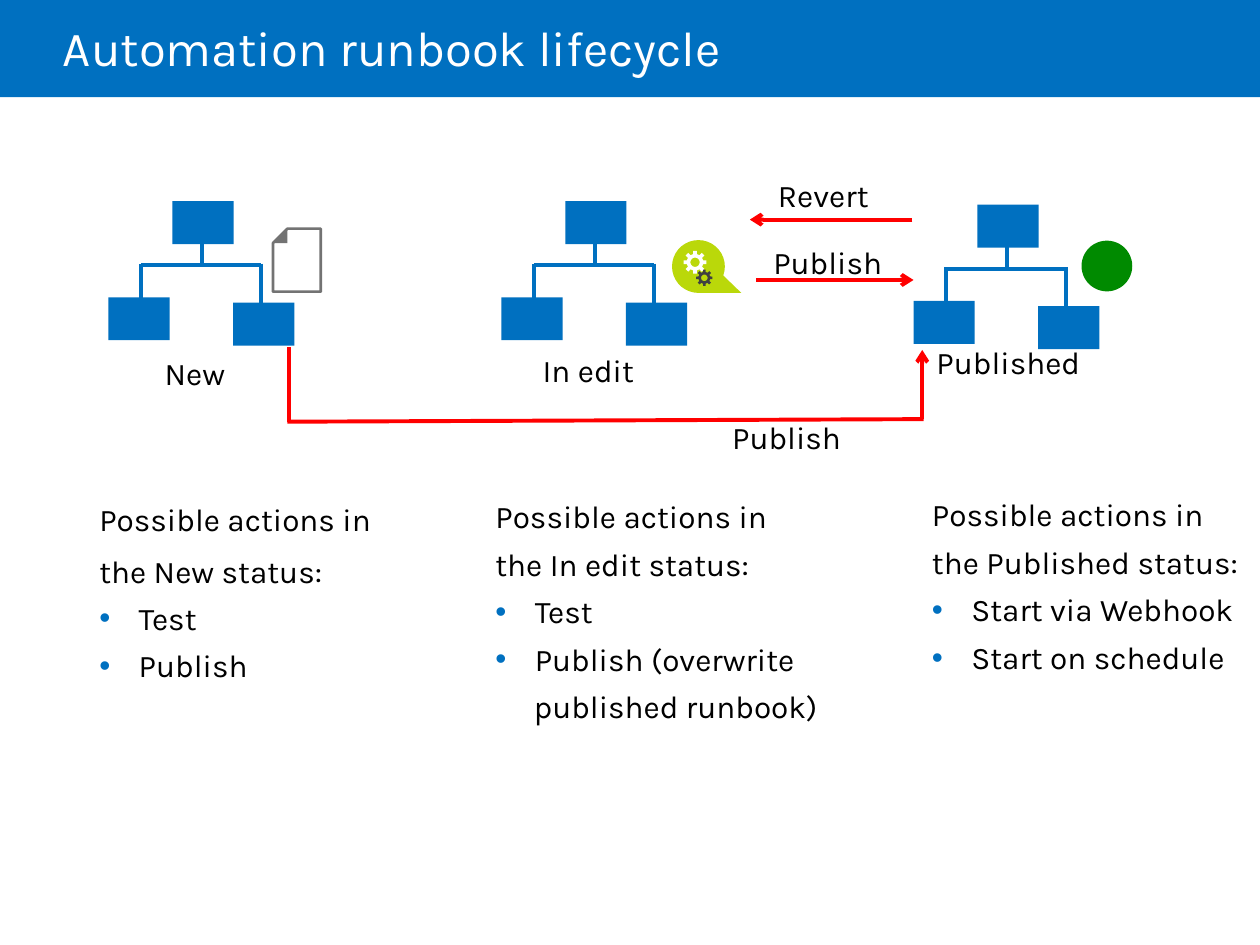
import math

from lxml import etree
from pptx import Presentation
from pptx.dml.color import RGBColor
from pptx.enum import shapes, text
from pptx.oxml import ns
from pptx.util import Pt

COLORS = {
    "blue": "0070C0", "red": "FF0000", "green": "008A00", "lime": "BAD80A",
    "gray": "737373", "dark": "404041", "white": "FFFFFF", "black": "000000",
}
FONT = "Karla"
TREE_WIDTH = 106.5
STATES = [
    {"name": "New", "tree": (62, 115), "label": (87, 198), "actions": (49.7, 266.5),
     "intro": ["Possible actions in", "the New status:"], "intro_spacing": 1.0,
     "items": ["Test", "Publish"]},
    {"name": "In edit", "tree": (286.5, 115), "label": (303, 196.5), "actions": (276, 278.5),
     "intro": ["Possible actions in", "the In edit status:"], "intro_spacing": 0.9,
     "items": ["Test", "Publish (overwrite\vpublished runbook)"]},
    {"name": "Published", "tree": (522, 117), "label": (528, 192), "actions": (525.5, 264),
     "intro": ["Possible actions in", "the Published status:"], "intro_spacing": 0.9,
     "items": ["Start via Webhook", "Start on schedule"]},
]


def rgb(name):
    """Return the named colour."""
    return RGBColor.from_string(COLORS[name])


def paint(shape, fill, line=None, width=1.5):
    """Give a shape a flat fill and an optional outline."""
    shape.shadow.inherit = False
    shape.fill.solid()
    shape.fill.fore_color.rgb = rgb(fill)
    if line:
        shape.line.color.rgb = rgb(line)
        shape.line.width = Pt(width)
    else:
        shape.line.fill.background()


def add_block(page, kind, left, top, width, height, fill):
    """Add a filled preset shape."""
    shape = page.shapes.add_shape(kind, Pt(left), Pt(top), Pt(width), Pt(height))
    paint(shape, fill)


def add_outline(page, contours, fill, line=None):
    """Add a closed freeform made of one or more contours."""
    builder = None
    for contour in contours:
        points = [(Pt(x), Pt(y)) for x, y in contour]
        if builder is None:
            builder = page.shapes.build_freeform(*points[0])
        else:
            builder.move_to(*points[0])
        builder.add_line_segments(points[1:], close=True)
    paint(builder.convert_to_shape(), fill, line)


def add_line(page, start, end, color, arrow=False):
    """Add a straight line, with an arrowhead at its end if asked."""
    line = page.shapes.add_connector(
        shapes.MSO_CONNECTOR.STRAIGHT, *[Pt(value) for value in (*start, *end)])
    line.line.color.rgb = rgb(color)
    line.line.width = Pt(2.25)
    if arrow:
        etree.SubElement(line.line._get_or_add_ln(), ns.qn("a:tailEnd"), type="arrow")
    etree.SubElement(line._element.spPr, ns.qn("a:effectLst"))


def add_bullet(para, indent=22.5):
    """Give a paragraph a blue bullet with a hanging indent."""
    props = para._p.get_or_add_pPr()
    props.set("marL", str(Pt(indent)))
    props.set("indent", str(-Pt(indent)))
    color = etree.SubElement(props, ns.qn("a:buClr"))
    etree.SubElement(color, ns.qn("a:srgbClr"), val=COLORS["blue"])
    etree.SubElement(props, ns.qn("a:buFont"), typeface="Arial")
    etree.SubElement(props, ns.qn("a:buChar"), char="•")


def add_text(page, lines, left, top, width, height, *, size=18, color="black",
             spacing=0.9, inset=7.2, centered=False, intro=None, intro_spacing=0.9):
    """Add a text box whose lines after the intro count are bulleted."""
    box = page.shapes.add_textbox(Pt(left), Pt(top), Pt(width), Pt(height))
    frame = box.text_frame
    frame.word_wrap = True
    frame.vertical_anchor = text.MSO_ANCHOR.MIDDLE
    frame.margin_left, frame.margin_right = Pt(inset), Pt(0)
    for index, line in enumerate(lines):
        para = frame.paragraphs[0] if index == 0 else frame.add_paragraph()
        is_item = intro is not None and index >= intro
        para.line_spacing = spacing if is_item or intro is None else intro_spacing
        para.alignment = text.PP_ALIGN.CENTER if centered else text.PP_ALIGN.LEFT
        if index:
            para.space_before = Pt(7.7)
        if is_item:
            add_bullet(para)
        for part_index, part in enumerate(line.split("\v")):
            if part_index:
                para = frame.add_paragraph()
                para.line_spacing, para.space_before = spacing, Pt(7.7)
                para._p.get_or_add_pPr().set("marL", str(Pt(22)))
            span = para.add_run()
            span.text = part
            span.font.name, span.font.size = FONT, Pt(size)
            span.font.color.rgb = rgb(color)


def add_header(page, left, top, width, height):
    """Draw the title bar."""
    add_block(page, shapes.MSO_SHAPE.RECTANGLE, left, top, width, height, "blue")
    add_text(page, ["Automation runbook lifecycle"], left + 36, top, width - 108,
             height + 3, size=28, color="white", spacing=0.85, inset=0)


def add_tree(page, left, top):
    """Draw a root box joined to two child boxes."""
    first, middle, last, bar = left + 18.7, left + 53.3, left + 87, top + 36.7
    for start, end in [((last, bar - 1), (last, top + 60)),
                       ((first, bar - 1), (first, top + 60)),
                       ((middle, top + 13), (middle, bar + 1)),
                       ((last, bar), (first, bar))]:
        add_line(page, start, end, "blue")
    for x, y in [(36.5, 0), (0, 55), (71.2, 58)]:
        add_block(page, shapes.MSO_SHAPE.RECTANGLE, left + x, top + y, 35, 24.5, "blue")


def add_page_icon(page, left, top, width=27.3, height=36, fold=8.2):
    """Draw a sheet with a folded corner."""
    right, bottom = left + width, top + height
    corner = [(left, top + fold), (left + fold, top)]
    add_outline(page, [[(right, bottom), (left, bottom), *corner, (right, top)]],
                "white", "gray")
    add_outline(page, [[(left + fold, top + fold), *corner]], "gray")


def ring(x, y, radius, start=0, end=360, step=10):
    """Return points along an arc."""
    return [(x + radius * math.cos(math.radians(a)), y + radius * math.sin(math.radians(a)))
            for a in range(start, end, step)]


def add_gear(page, x, y, radius, fill, teeth=8):
    """Draw a toothed wheel with a hole."""
    pitch = 360 / teeth
    rim = []
    for tooth in range(teeth):
        for part, reach in [(-0.3, 0.72), (-0.2, 1), (0.2, 1), (0.3, 0.72)]:
            angle = math.radians((tooth + part) * pitch)
            rim.append((x + radius * reach * math.cos(angle),
                        y + radius * reach * math.sin(angle)))
    add_outline(page, [rim, ring(x, y, radius * 0.4)[::-1]], fill)


def add_edit_icon(page, left, top, radius=15.1):
    """Draw a speech bubble holding two gears."""
    x, y = left + radius, top + radius
    bubble = ring(x, y, radius, 90, 390) + [(left + 39.6, top + 2 * radius)]
    add_outline(page, [bubble], "lime")
    add_gear(page, left + 13.2, top + 12.7, 6.6, "white")
    add_gear(page, left + 18.5, top + 21.6, 4.7, "dark")


def add_state(page, state):
    """Draw one state with its tree, name and list of actions."""
    add_tree(page, *state["tree"])
    add_text(page, [state["name"]], *state["label"], 135, 32.4)
    add_text(page, state["intro"] + state["items"], *state["actions"], 194, 144,
             intro=len(state["intro"]), intro_spacing=state["intro_spacing"])


def add_transitions(page):
    """Draw the red arrows between states and their labels."""
    for start, end, arrow in [((432, 160), (522, 160), True),
                              ((521.3, 125.5), (428.5, 125.5), True),
                              ((165.2, 198.5), (165.2, 241), False),
                              ((164.2, 241), (527.8, 239.5), False),
                              ((527, 239.5), (527, 200), True)]:
        add_line(page, start, end, "red", arrow)
    for label, center, middle in [("Revert", 470.5, 111.5), ("Publish", 473, 149.5),
                                  ("Publish", 449.5, 249.5)]:
        add_text(page, [label], center - 50, middle - 16.2, 100, 32.4,
                 spacing=1.0, inset=0, centered=True)


def main():
    """Build and save the deck."""
    deck = Presentation()
    deck.slide_width, deck.slide_height = Pt(720), Pt(540)
    page = deck.slides.add_slide(deck.slide_layouts[6])
    add_header(page, 0, 0, 720, 55.5)
    for state in STATES:
        add_state(page, state)
    add_page_icon(page, 62 + TREE_WIDTH - 12.5, 130.7)
    add_edit_icon(page, 384, 137.2)
    add_block(page, shapes.MSO_SHAPE.OVAL, 618, 137.5, 29, 29, "green")
    add_transitions(page)
    deck.save("out.pptx")


if __name__ == "__main__":
    main()
